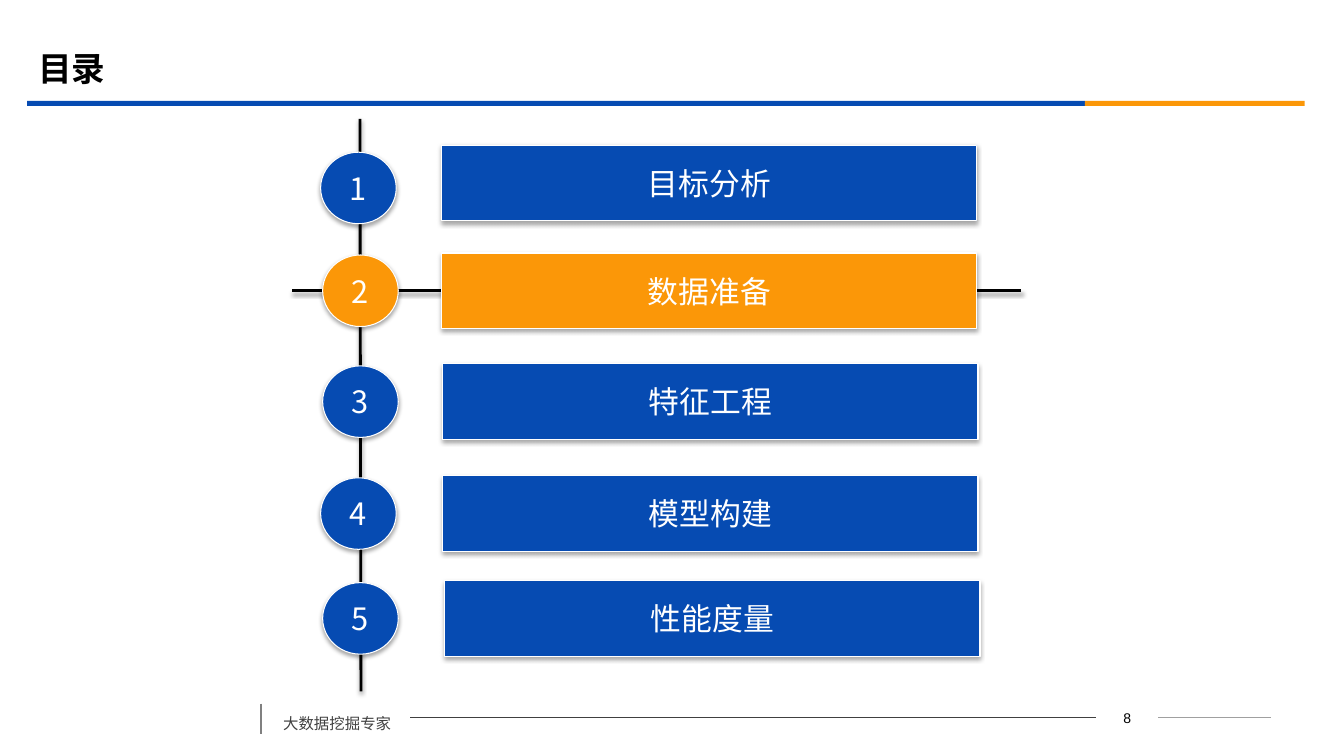
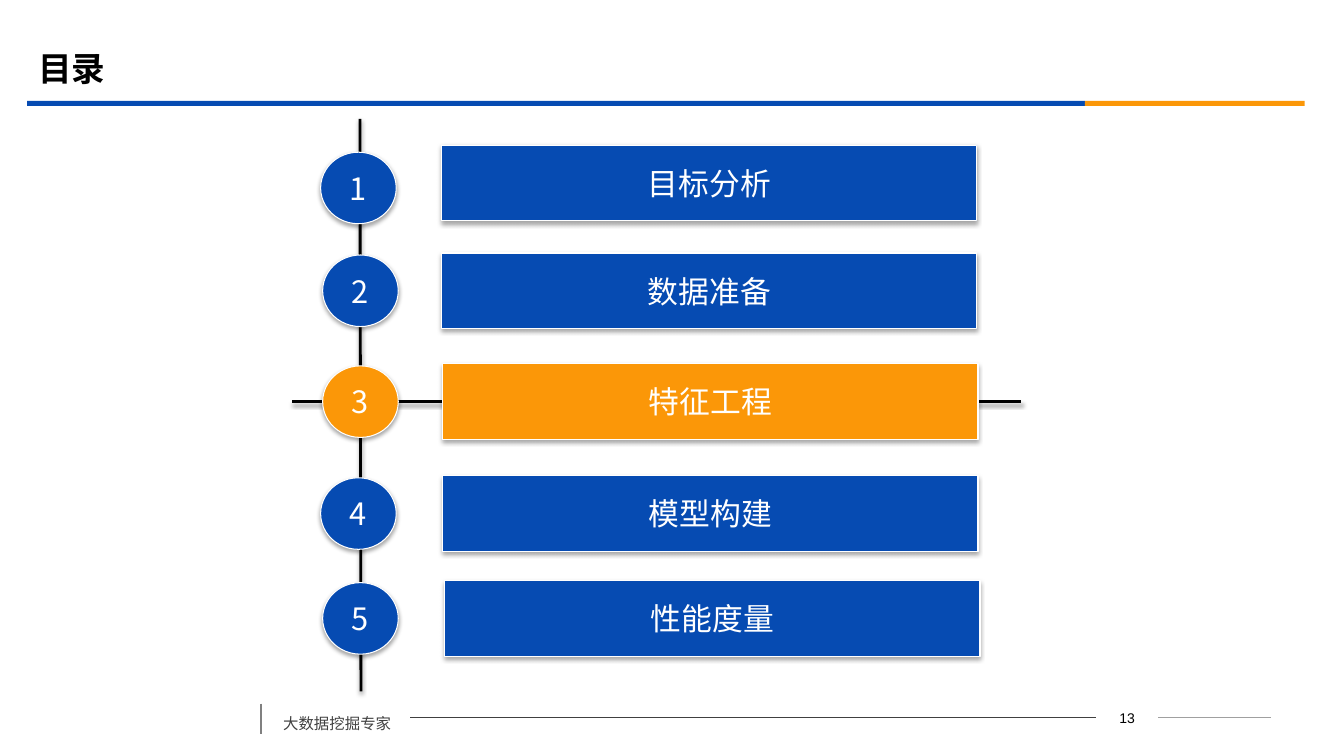
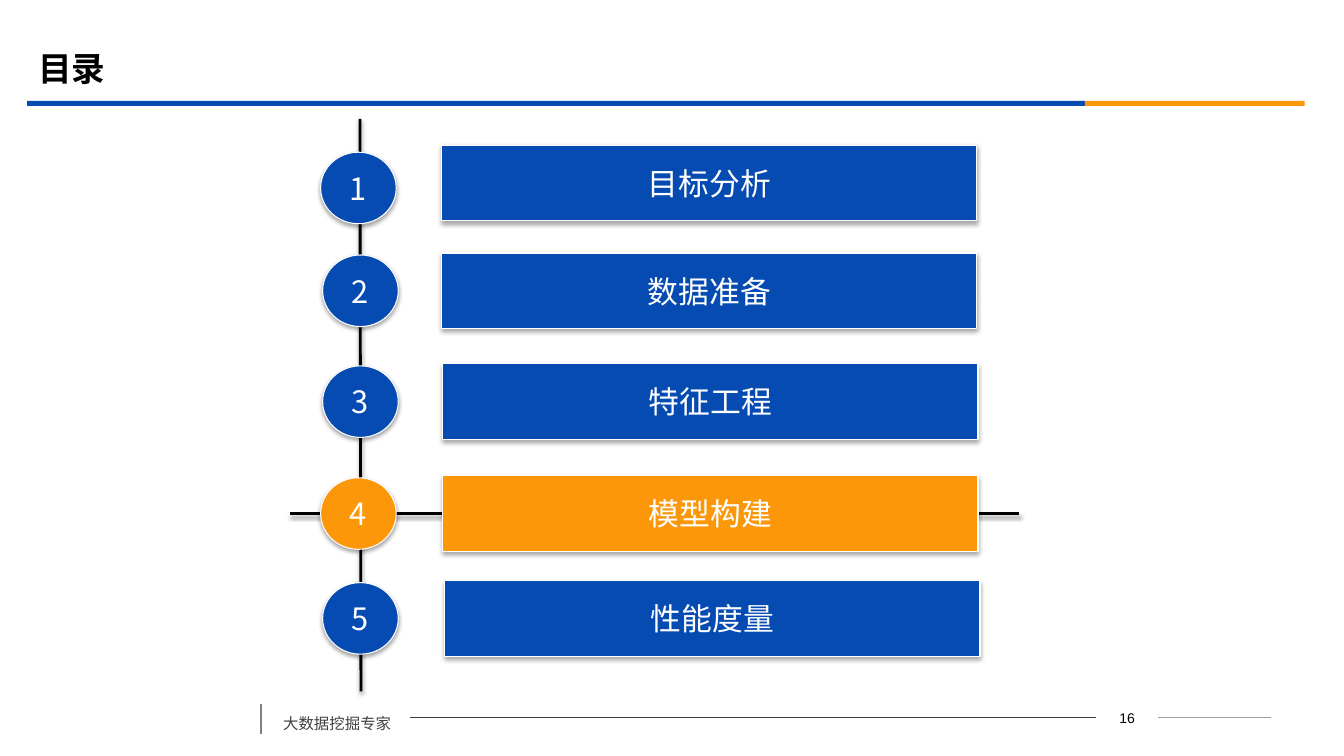
from lxml.etree import SubElement
from pptx import Presentation
from pptx.dml.color import RGBColor
from pptx.enum.shapes import MSO_CONNECTOR, MSO_SHAPE
from pptx.enum.text import MSO_ANCHOR, PP_ALIGN
from pptx.oxml.ns import qn
from pptx.util import Inches, Pt

HUES = {
    "blue": "064BB2", "gold": "FB9708", "white": "FFFFFF", "black": "000000",
    "dark": "404040", "gray": "808080", "pale": "A0A0A0",
}
SANS = "Noto Sans CJK SC"
LABEL = {"size": Pt(22), "name": SANS}
TITLE = {"size": Pt(24), "name": "Times New Roman", "bold": True}
FOOT = {"size": Pt(11), "name": SANS}
PAGE = {"size": Pt(10), "name": "Arial"}

# text, bar left, bar top, dot left, dot top
STEPS = [
    ("目标分析", 4.38, 1.44, 3.18, 1.51),
    ("数据准备", 4.38, 2.51, 3.2, 2.53),
    ("特征工程", 4.39, 3.61, 3.2, 3.63),
    ("模型构建", 4.39, 4.72, 3.18, 4.74),
    ("性能度量", 4.41, 5.76, 3.2, 5.78),
]
BAR = (5.31, 0.75)
DOT = (0.75, 0.71)
PAGES = [(8, 2), (13, 3), (16, 4)]  # page number, active step


def hue(name):
    return RGBColor.from_string(HUES[name])


def write(frame, text, fmt, color, align=PP_ALIGN.LEFT):
    frame.text = text
    para = frame.paragraphs[0]
    para.alignment = align
    run = para.runs[0]
    for key, val in fmt.items():
        setattr(run.font, key, val)
    run.font.color.rgb = hue(color)
    SubElement(run.font._element, qn("a:ea"), typeface=SANS)
    return para


def shade(item, dist=0, alpha=0):
    """Replace the theme shadow by a soft one below, or by none."""
    list_ = SubElement(item._element.spPr, qn("a:effectLst"))
    if dist:
        drop = SubElement(list_, qn("a:outerShdw"), blurRad=str(Pt(3.1)),
                          dist=str(Pt(dist)), dir="5400000", rotWithShape="0")
        tint = SubElement(drop, qn("a:srgbClr"), val=HUES["black"])
        SubElement(tint, qn("a:alpha"), val=str(alpha * 1000))


def rule(slide, start, end, color, width, **shadow):
    line = slide.shapes.add_connector(
        MSO_CONNECTOR.STRAIGHT, *map(Inches, start + end))
    line.line.color.rgb = hue(color)
    line.line.width = Pt(width)
    shade(line, **shadow)


def box(slide, kind, at, fill):
    shape = slide.shapes.add_shape(kind, *map(Inches, at))
    shape.fill.solid()
    shape.fill.fore_color.rgb = hue(fill)
    return shape


def band(slide, left, width, fill):
    shape = box(slide, MSO_SHAPE.RECTANGLE, (left, 1, width, 0.05), fill)
    shape.line.fill.background()
    shade(shape)


def badge(slide, kind, at, fill, text):
    shape = box(slide, kind, at, fill)
    shape.line.color.rgb = hue("white")
    shape.line.width = Pt(0.75)
    shade(shape, dist=1.8, alpha=35)
    frame = shape.text_frame
    frame.word_wrap = False
    frame.vertical_anchor = MSO_ANCHOR.MIDDLE
    write(frame, text, LABEL, "white", PP_ALIGN.CENTER)


def note(slide, at, text, fmt, color, align):
    frame = slide.shapes.add_textbox(*map(Inches, at)).text_frame
    frame.word_wrap = True
    return write(frame, text, fmt, color, align)


def frame_up(slide):
    """Draw the bands and footer, then move them to the slide's layout."""
    old = set(slide.shapes._spTree)
    band(slide, 0.27, 10.49, "blue")
    band(slide, 10.76, 2.18, "gold")
    rule(slide, (11.49, 7.12), (12.61, 7.12), "pale", 0.75)
    rule(slide, (4.07, 7.12), (10.87, 7.12), "dark", 0.75)
    rule(slide, (2.59, 6.98), (2.59, 7.28), "gray", 1.25)
    para = note(slide, (2.71, 6.94, 1.36, 0.38), "大数据挖掘专家",
                FOOT, "dark", PP_ALIGN.LEFT)
    para.line_spacing = 1.5
    para.space_before = Pt(6)
    new = [item for item in slide.shapes._spTree if item not in old]
    for num, item in enumerate(new, 101):
        item.xpath(".//p:cNvPr")[0].set("id", str(num))
        slide.slide_layout.shapes._spTree.append(item)


def head(slide, text):
    title = slide.shapes.title
    title.left, title.top, title.width, title.height = map(
        Inches, (0.28, 0.39, 12, 0.58))
    title.text_frame.vertical_anchor = MSO_ANCHOR.MIDDLE
    write(title.text_frame, text, TITLE, "black")


def agenda(slide, active):
    shadow = {"dist": 1.6, "alpha": 38}
    rule(slide, (3.57, 1.18), (3.58, 6.86), "black", 2, **shadow)
    left, top = STEPS[active - 1][3:]
    mid = top + DOT[1] / 2
    rule(slide, (left - 0.3, mid), (left + 6.93, mid), "black", 2, **shadow)
    for num, (text, bar_x, bar_y, dot_x, dot_y) in enumerate(STEPS, 1):
        fill = "gold" if num == active else "blue"
        badge(slide, MSO_SHAPE.ACTION_BUTTON_CUSTOM, (bar_x, bar_y) + BAR,
              fill, text)
        badge(slide, MSO_SHAPE.OVAL, (dot_x, dot_y) + DOT, fill, str(num))


def main():
    deck = Presentation()
    deck.slide_width, deck.slide_height = Inches(13.33), Inches(7.5)
    layout = deck.slide_layouts[5]
    for page, active in PAGES:
        slide = deck.slides.add_slide(layout)
        if len(deck.slides) == 1:
            frame_up(slide)
        head(slide, "目录")
        agenda(slide, active)
        note(slide, (10.87, 6.99, 0.62, 0.25), str(page), PAGE, "black",
             PP_ALIGN.CENTER)
    deck.save("out.pptx")


if __name__ == "__main__":
    main()
